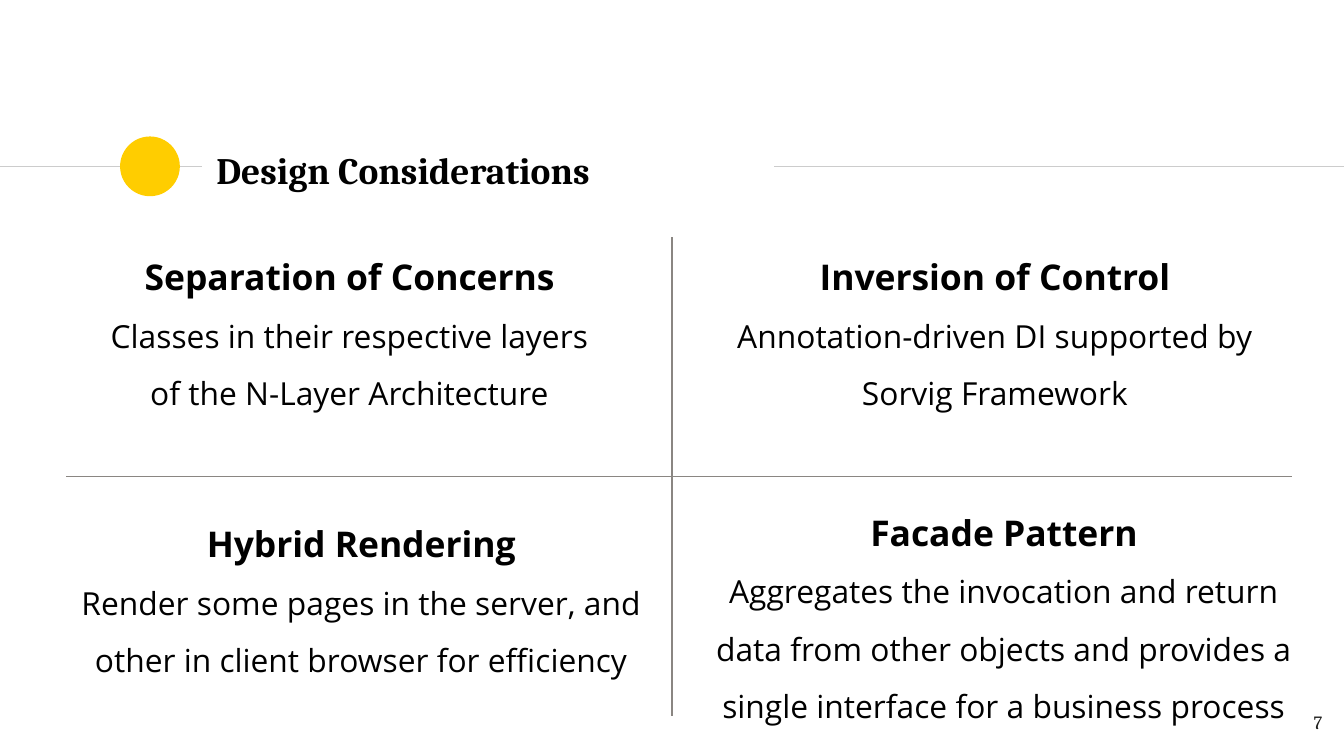
"""Build the Design Considerations slide: four principles in a divided grid."""
from lxml import etree
from pptx import Presentation
from pptx import util as u
from pptx.dml.color import RGBColor
from pptx.enum import shapes, text
from pptx.oxml.ns import qn

BLACK = RGBColor(0x00, 0x00, 0x00)
INK = RGBColor(0x1D, 0x1D, 0x1B)
YELLOW = RGBColor(0xFF, 0xCD, 0x00)
PALE_GREY = RGBColor(0xCC, 0xCC, 0xCC)
WARM_GREY = RGBColor(0x8A, 0x86, 0x82)


def set_frame(frame, anchor):
    frame.word_wrap = True
    frame.auto_size = text.MSO_AUTO_SIZE.NONE
    frame.vertical_anchor = anchor
    frame.margin_left = frame.margin_right = u.Cm(0.25)
    frame.margin_top = frame.margin_bottom = u.Cm(0.25)


def write(paragraph, words, font_name, size, color, bold, align):
    paragraph.text = words
    paragraph.alignment = align
    paragraph.font.name = font_name
    paragraph.font.size = u.Pt(size)
    paragraph.font.color.rgb = color
    paragraph.font.bold = bold


deck = Presentation()
deck.slide_width, deck.slide_height = u.Cm(25.4), u.Cm(14.29)
slide = deck.slides.add_slide(deck.slide_layouts[5])

rules = [
    (0, 3.15, 3.81, 3.15, PALE_GREY),
    (14.63, 3.15, 25.4, 3.15, PALE_GREY),
    (12.7, 4.48, 12.7, 13.53, WARM_GREY),
    (1.25, 9.01, 24.41, 9.01, WARM_GREY),
]
for x1, y1, x2, y2, color in rules:
    rule = slide.shapes.add_connector(
        shapes.MSO_CONNECTOR.STRAIGHT, u.Cm(x1), u.Cm(y1), u.Cm(x2), u.Cm(y2))
    rule.line.color.rgb = color
    rule.line.width = u.Pt(0.75)
    etree.SubElement(rule._element.spPr, qn("a:effectLst"))

bullet = slide.shapes.add_shape(
    shapes.MSO_SHAPE.OVAL, u.Cm(2.27), u.Cm(2.58), u.Cm(1.13), u.Cm(1.13))
bullet.shadow.inherit = False
bullet.fill.solid()
bullet.fill.fore_color.rgb = YELLOW
bullet.line.fill.background()

heading = slide.shapes.title
heading.left, heading.top = u.Cm(3.84), u.Cm(2.6)
heading.width, heading.height = u.Cm(10.78), u.Cm(1.22)
set_frame(heading.text_frame, text.MSO_ANCHOR.MIDDLE)
write(heading.text_frame.paragraphs[0], "Design Considerations",
      "Cambria", 20, BLACK, True, text.PP_ALIGN.LEFT)

page_number = slide.shapes.add_textbox(
    u.Cm(23.72), u.Cm(13.19), u.Cm(1.52), u.Cm(1.1)).text_frame
set_frame(page_number, text.MSO_ANCHOR.TOP)
write(page_number.paragraphs[0], "7", "Cambria", 10, INK, False, text.PP_ALIGN.RIGHT)

principles = [
    (1.68, 4.17, 9.86, "Separation of Concerns",
     ["Classes in their respective layers of the N-Layer Architecture"]),
    (12.85, 4.17, 11.91, "Inversion of Control",
     ["Annotation-driven DI supported by", "Sorvig Framework"]),
    (1.09, 9.22, 11.48, "Hybrid Rendering",
     ["Render some pages in the server, and other in client browser for efficiency"]),
    (12.93, 9, 12.09, "Facade Pattern",
     ["Aggregates the invocation and return data from other objects "
      "and provides a single interface for a business process"]),
]
for left, top, width, name, details in principles:
    principle = slide.shapes.add_textbox(
        u.Cm(left), u.Cm(top), u.Cm(width), u.Cm(4.47)).text_frame
    set_frame(principle, text.MSO_ANCHOR.TOP)
    write(principle.paragraphs[0], name, "Open Sans", 19, BLACK, True, text.PP_ALIGN.CENTER)
    for detail in details:
        write(principle.add_paragraph(), detail,
              "Open Sans", 17, BLACK, False, text.PP_ALIGN.CENTER)
    for paragraph in principle.paragraphs:
        paragraph.line_spacing = 1.5

deck.save("out.pptx")
